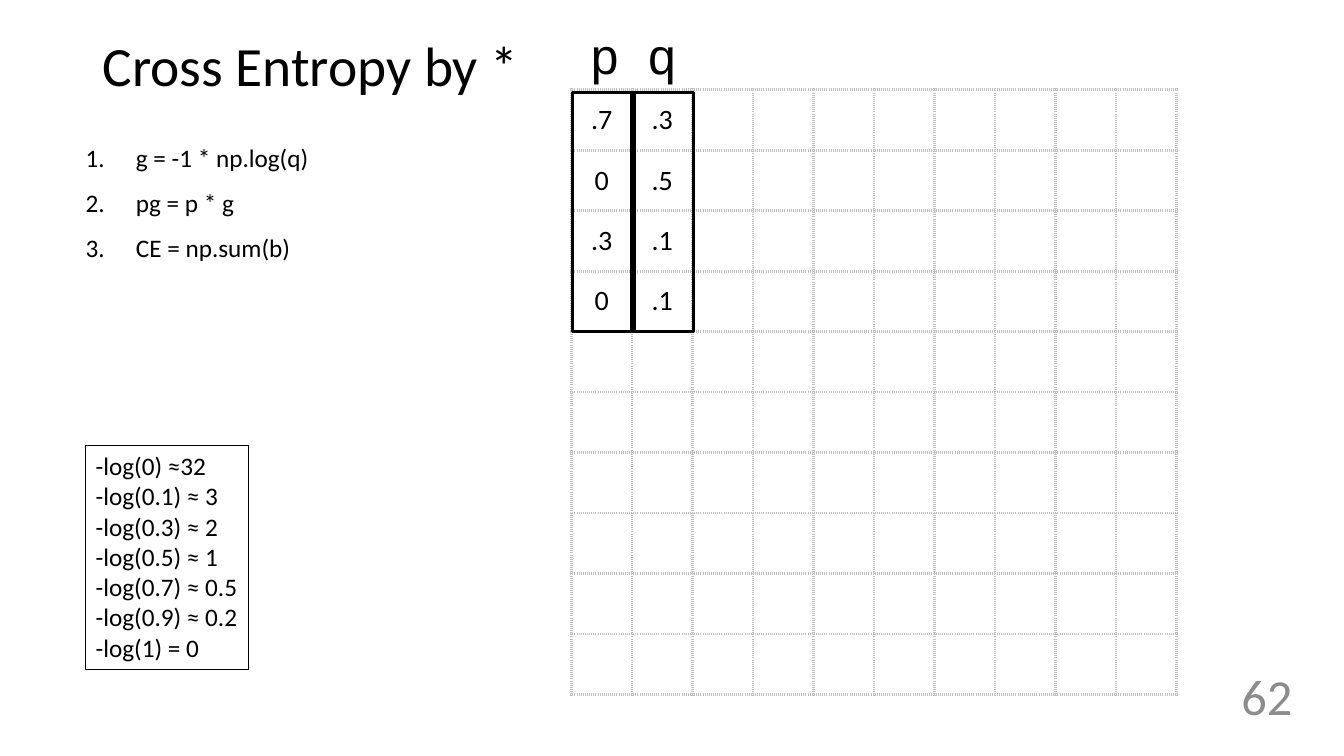
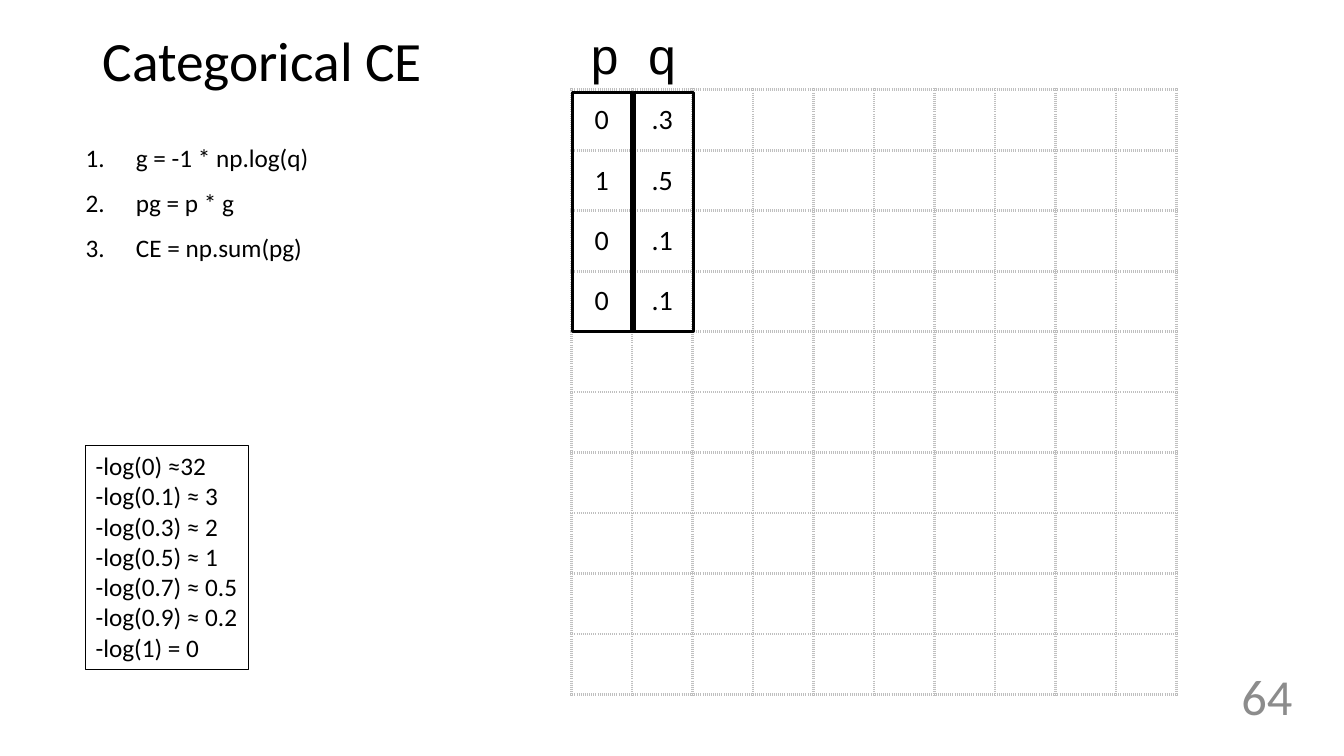
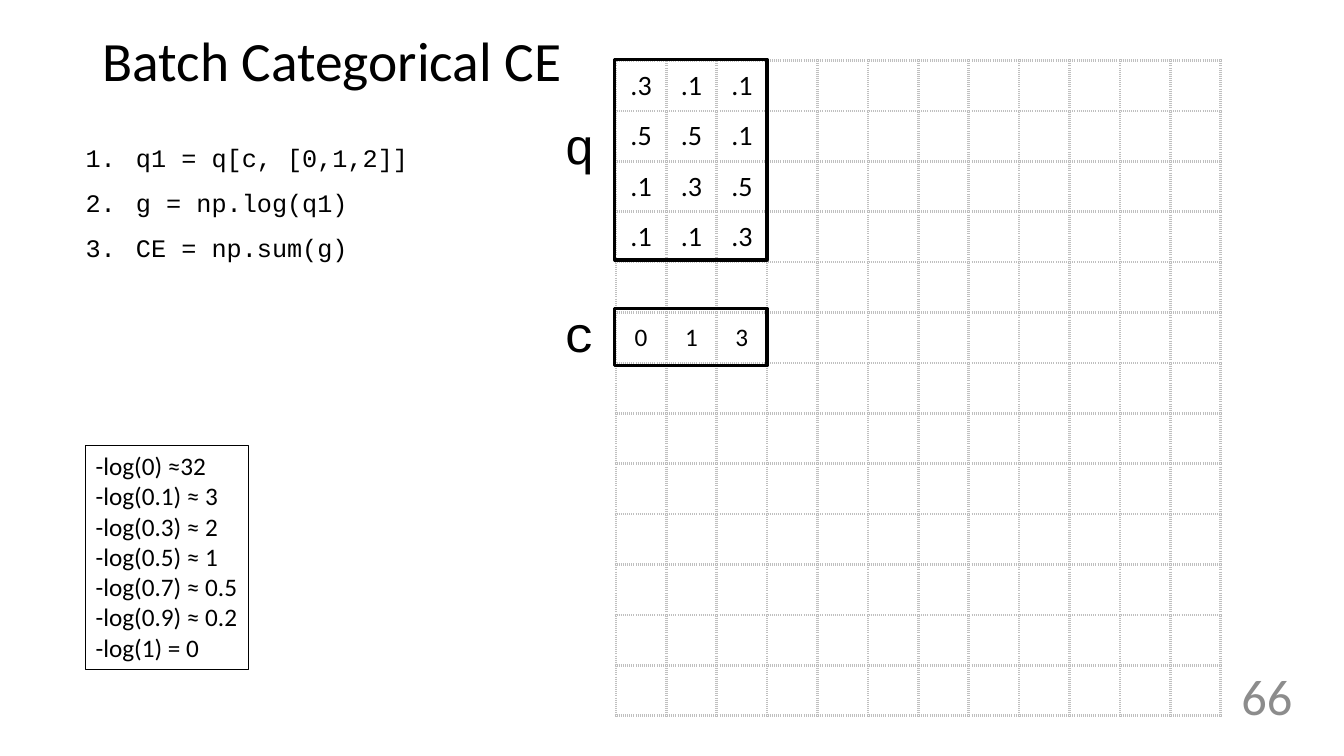
from lxml.etree import SubElement
from pptx import Presentation
from pptx.dml.color import RGBColor
from pptx.enum.shapes import MSO_SHAPE
from pptx.enum.text import MSO_ANCHOR, PP_ALIGN
from pptx.oxml.ns import qn
from pptx.util import Inches, Pt

BLACK = RGBColor(0x00, 0x00, 0x00)
GREY = RGBColor(0x8C, 0x8C, 0x8C)
DOTS = RGBColor(0xBF, 0xBF, 0xBF)
SANS, MONO = "Calibri", "Courier New"

# The slide is a grid of 133.3 columns by 75 rows
UNIT = Inches(0.1)
WIDE, HIGH = 133.33, 75
LOGS = ["-log(0) ≈32", "-log(0.1) ≈ 3", "-log(0.3) ≈ 2", "-log(0.5) ≈ 1",
        "-log(0.7) ≈ 0.5", "-log(0.9) ≈ 0.2", "-log(1) = 0"]

# Frames of the two vectors p and q, and their labels
PAIR = [(56.8 + 6.1 * i, 9.2, 5.9, 23.7) for i in range(2)]
NAMES = [(name, 57.5 + 5.7 * i, 1.9) for i, name in enumerate("pq")]
PLAIN = dict(left=56.7, top=8.9, cell=6, cols=10, rows=10,
             frames=PAIR, names=NAMES, font=SANS)

SLIDES = [
    dict(PLAIN, title="Cross Entropy by *", deep=5.5, page="62",
         steps=["g = -1 * np.log(q)", "pg = p * g", "CE = np.sum(b)"],
         data=[".7 .3", "0 .5", ".3 .1", "0 .1"]),
    dict(PLAIN, title="Categorical CE", deep=4.6, page="64",
         steps=["g = -1 * np.log(q)", "pg = p * g", "CE = np.sum(pg)"],
         data=["0 .3", "1 .5", "0 .1", "0 .1"]),
    dict(title="Batch Categorical CE", deep=4.6, page="66",
         left=61.1, top=6, cell=5, cols=12, rows=13, font=MONO,
         steps=["q1 = q[c, [0,1,2]]", "g = np.log(q1)", "CE = np.sum(g)"],
         data=[".3 .1 .1", ".5 .5 .1", ".1 .3 .5", ".1 .1 .3", "", "0 1 3"],
         frames=[(61, 5.9, 15.1, 19.9), (61, 30.6, 15.1, 5.7)],
         names=[("q", 55, 10.8), ("c", 55, 29.5)]),
]


def write(frame, lines, size=18, font=SANS, color=BLACK, align=PP_ALIGN.LEFT,
          anchor=MSO_ANCHOR.TOP, space=None, count=False, wrap=True):
    """Fill a text frame with one paragraph for each line."""
    frame.word_wrap = wrap
    frame.vertical_anchor = anchor
    for i, line in enumerate(lines):
        para = frame.add_paragraph() if i else frame.paragraphs[0]
        if count:
            props = para._p.get_or_add_pPr()
            props.set("marL", str(Inches(0.5)))
            props.set("indent", str(Inches(-0.5)))
            SubElement(props, qn("a:buAutoNum"), type="arabicPeriod")
        para.alignment = align
        para.line_spacing = space
        run = para.add_run()
        run.text = line
        run.font.size = Pt(size)
        run.font.name = font
        run.font.color.rgb = color


def outline(slide, box, width):
    """Draw an unfilled black box."""
    shape = slide.shapes.add_shape(MSO_SHAPE.RECTANGLE, *[int(n * UNIT) for n in box])
    shape.shadow.inherit = False
    shape.fill.background()
    shape.line.color.rgb = BLACK
    shape.line.width = Pt(width)
    return shape


deck = Presentation()
deck.slide_width = int(WIDE * UNIT)
deck.slide_height = int(HIGH * UNIT)

for item in SLIDES:
    slide = deck.slides.add_slide(deck.slide_layouts[6])

    # Dotted grid with its numbers
    cols, rows, cell = item["cols"], item["rows"], item["cell"]
    box = (item["left"], item["top"], cols * cell, rows * cell)
    table = slide.shapes.add_table(rows, cols, *[int(n * UNIT) for n in box]).table
    table.first_row = table.horz_banding = False
    for r in range(rows):
        table.rows[r].height = int(cell * UNIT)
        words = item["data"][r].split() if r < len(item["data"]) else []
        for c in range(cols):
            spot = table.cell(r, c)
            props = spot._tc.get_or_add_tcPr()
            for side in ("lnL", "lnR", "lnT", "lnB"):
                line = SubElement(props, qn("a:" + side), w=str(Pt(2.25)))
                fill = SubElement(line, qn("a:solidFill"))
                SubElement(fill, qn("a:srgbClr"), val=str(DOTS))
                SubElement(line, qn("a:prstDash"), val="sysDot")
            spot.fill.background()
            spot.vertical_anchor = MSO_ANCHOR.MIDDLE
            if c < len(words):
                write(spot.text_frame, [words[c]], size=20 if r < 4 else 18,
                      align=PP_ALIGN.CENTER, anchor=MSO_ANCHOR.MIDDLE)

    # Title, page number, numbered steps and grid labels
    texts = [
        ((9.2, 4, 115, item["deep"]), [item["title"]],
         dict(size=39.6, space=0.9, anchor=MSO_ANCHOR.MIDDLE)),
        ((116.7, 64.7, 12.5, 8.6), [item["page"]],
         dict(size=36, color=GREY, align=PP_ALIGN.RIGHT, anchor=MSO_ANCHOR.MIDDLE)),
        ((7.5, 12.1, 45.2, 14.2), item["steps"],
         dict(font=item["font"], space=1.5, count=True)),
    ]
    for name, left, top in item["names"]:
        texts.append(((left, top, 4.8, 7.1), [name],
                      dict(size=36, font=MONO, wrap=False)))
    for box, lines, style in texts:
        area = slide.shapes.add_textbox(*[int(n * UNIT) for n in box])
        write(area.text_frame, lines, **style)

    # Table of logs, then frames around the vectors
    logs = outline(slide, (8.5, 44.2, 16.2, 22.2), 0.75)
    write(logs.text_frame, LOGS, wrap=False)
    for box in item["frames"]:
        outline(slide, box, 2.25)

deck.save("out.pptx")
